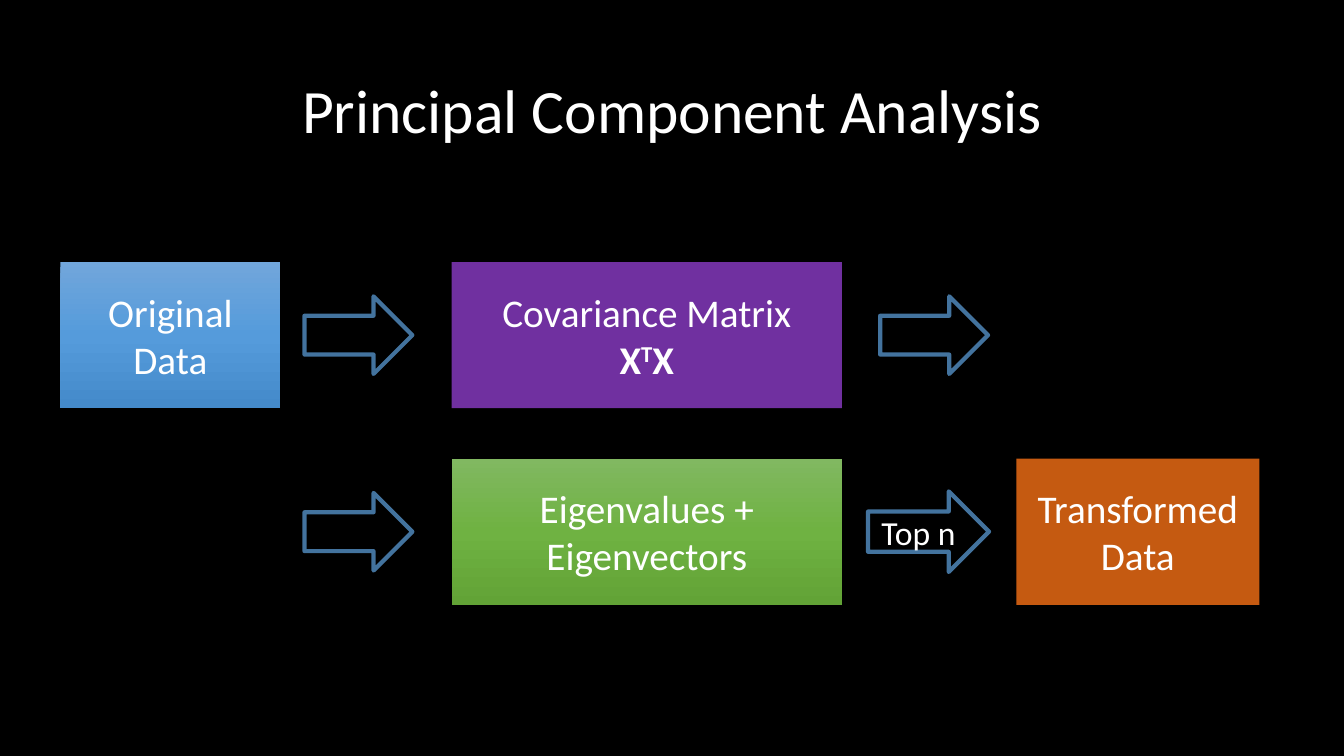
from copy import deepcopy

from pptx import Presentation
from pptx.dml.color import RGBColor
from pptx.enum.shapes import MSO_SHAPE
from pptx.enum.text import MSO_ANCHOR, PP_ALIGN
from pptx.util import Inches, Pt

RECT = MSO_SHAPE.RECTANGLE
ARROW = MSO_SHAPE.RIGHT_ARROW
MIDDLE = MSO_ANCHOR.MIDDLE
CENTER = PP_ALIGN.CENTER

FONT = "Calibri"
COLORS = {
    "background": "000000",
    "text": "FFFFFF",
    "arrow": "43739E",
    "original": ["71A6DB", "559BDB", "448ACA"],
    "covariance": ["7030A0"],
    "eigen": ["81B861", "6FB242", "62A336"],
    "transformed": ["C55A11"],
}

COLUMNS = {"input": (0.6, 2.18), "matrix": (4.48, 3.87), "output": (10.08, 2.41)}
ROW_TOP, ROW_STEP, ROW_H = 2.6, 1.95, 1.45
ARROW_W, ARROW_H = 1.07, 0.77


def rgb(value):
    return RGBColor.from_string(value)


def row_middle(row):
    return ROW_TOP + row * ROW_STEP + ROW_H / 2


def add_text(s, paragraphs, size, spacing=None):
    tf = s.text_frame
    tf.word_wrap = True
    tf.vertical_anchor = MIDDLE
    for i, runs in enumerate(paragraphs):
        p = tf.add_paragraph() if i else tf.paragraphs[0]
        p.alignment = CENTER
        if spacing:
            p.line_spacing = spacing
        for text, bold, raised in runs:
            r = p.add_run()
            r.text = text
            r.font.name = FONT
            r.font.size = Pt(size)
            r.font.color.rgb = rgb(COLORS["text"])
            if bold:
                r.font.bold = True
            if raised:
                r.font._element.set("baseline", "30000")


def plain(text):
    return [[(text, False, False)]]


def fill_box(s, colors):
    if len(colors) == 1:
        s.fill.solid()
        s.fill.fore_color.rgb = rgb(colors[0])
        return
    s.fill.gradient()
    s.fill.gradient_angle = 270
    first = s.fill.gradient_stops[0]._gs
    first.addnext(deepcopy(first))
    for i, (stop, color) in enumerate(zip(s.fill.gradient_stops, colors)):
        stop.position = i / (len(colors) - 1)
        stop.color.rgb = rgb(color)


def add_box(slide, column, row, colors, paragraphs):
    left, width = COLUMNS[column]
    s = slide.shapes.add_shape(RECT, Inches(left), Inches(ROW_TOP + row * ROW_STEP),
                               Inches(width), Inches(ROW_H))
    s.shadow.inherit = False
    s.line.fill.background()
    fill_box(s, colors)
    add_text(s, paragraphs, 28)


def add_arrow(slide, left, row, width=ARROW_W, height=ARROW_H, label=None):
    s = slide.shapes.add_shape(ARROW, Inches(left), Inches(row_middle(row) - height / 2),
                               Inches(width), Inches(height))
    s.shadow.inherit = False
    s.fill.background()
    s.line.color.rgb = rgb(COLORS["arrow"])
    s.line.width = Pt(3)
    if label:
        add_text(s, plain(label), 24)


def add_title(slide, text):
    s = slide.shapes.add_textbox(Inches(0.92), Inches(0.4), Inches(11.5), Inches(1.45))
    add_text(s, plain(text), 44, 0.9)


def main():
    prs = Presentation()
    prs.slide_width, prs.slide_height = Inches(13.33), Inches(7.5)
    slide = prs.slides.add_slide(prs.slide_layouts[6])
    slide.background.fill.solid()
    slide.background.fill.fore_color.rgb = rgb(COLORS["background"])

    add_title(slide, "Principal Component Analysis")
    covariance = plain("Covariance Matrix") + [
        [("X", True, False), ("T", True, True), ("X", True, False)]]
    add_box(slide, "input", 0, COLORS["original"], plain("Original Data"))
    add_box(slide, "matrix", 0, COLORS["covariance"], covariance)
    add_box(slide, "matrix", 1, COLORS["eigen"], plain("Eigenvalues + Eigenvectors"))
    add_box(slide, "output", 1, COLORS["transformed"], plain("Transformed Data"))

    for row in range(2):
        add_arrow(slide, 3.02, row)
    add_arrow(slide, 8.73, 0)
    add_arrow(slide, 8.61, 1, 1.2, 0.8, "Top n")
    prs.save("out.pptx")


if __name__ == "__main__":
    main()
